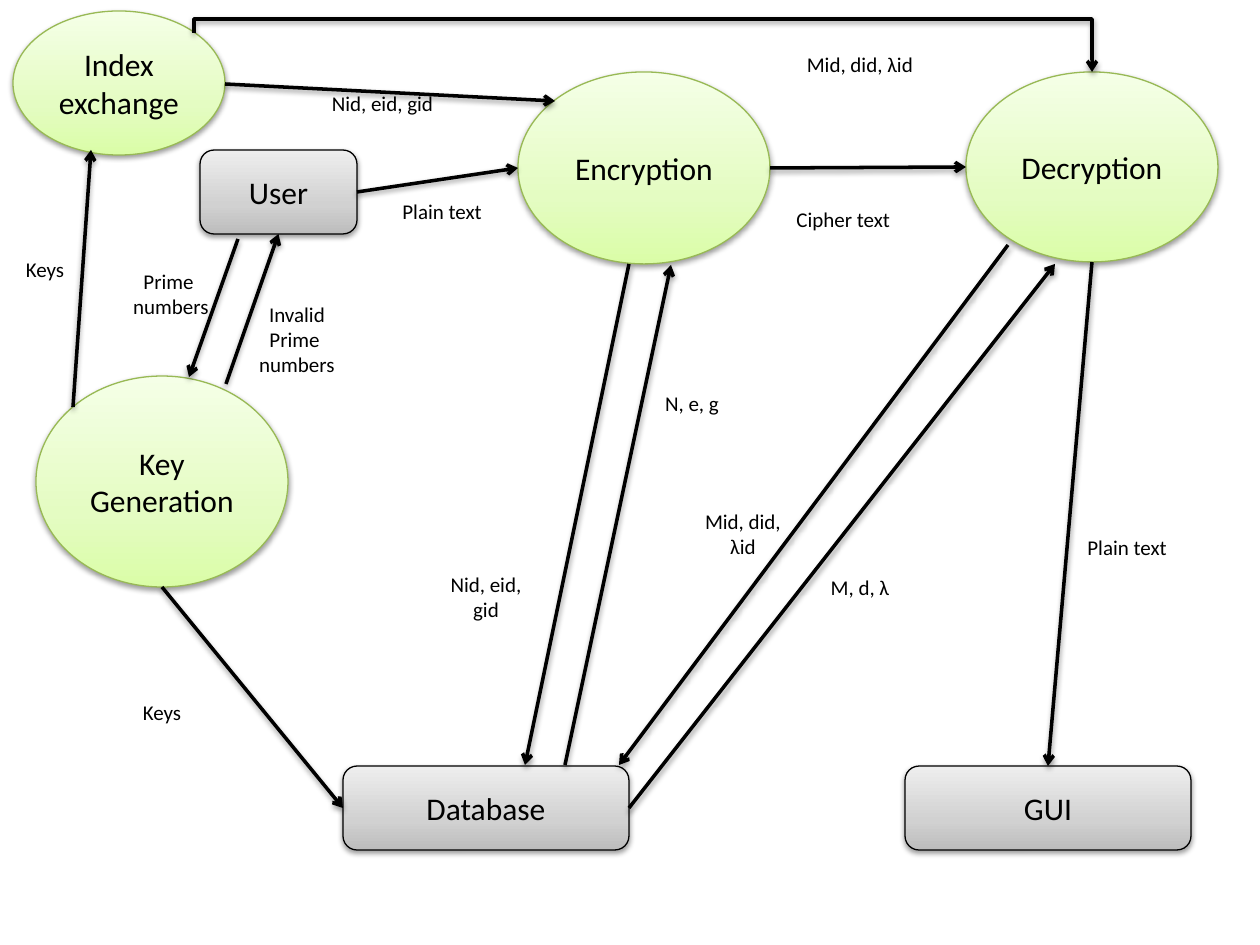
from copy import deepcopy
from dataclasses import dataclass

from lxml.etree import SubElement
from pptx import Presentation
from pptx.dml.color import RGBColor
from pptx.enum.shapes import MSO_CONNECTOR, MSO_SHAPE
from pptx.enum.text import MSO_ANCHOR, MSO_AUTO_SIZE, PP_ALIGN
from pptx.oxml.ns import qn
from pptx.util import Emu, Pt

PX_PER_INCH = 126
TOP, LEFT, BOTTOM, RIGHT = range(4)


@dataclass(frozen=True)
class Theme:
    font: str = "Calibri"
    ink: str = "000000"
    green_line: str = "98B955"
    green: tuple = ("DAFDA7", "E4FCC2", "F5FFE7")
    gray: tuple = ("BDBDBD", "D1D1D1", "EEEEEE")
    stops: tuple = (0, 0.35, 1)
    node_size: int = 18
    label_size: int = 12
    outline: float = 0.75
    arrow: float = 2


def px(n):
    return Emu(round(n * 914400 / PX_PER_INCH))


def apply(obj, values):
    for name, value in values.items():
        setattr(obj, name, value)


class FlowSlide:
    def __init__(self, slide, theme):
        self.shapes = slide.shapes
        self.theme = theme

    def set_text(self, tf, text, size, align):
        font = {"name": self.theme.font, "size": Pt(size)}
        for i, line in enumerate(text.split("\n")):
            p = tf.add_paragraph() if i else tf.paragraphs[0]
            p.alignment = align
            r = p.add_run()
            r.text = line
            apply(r.font, font)
            r.font.color.rgb = RGBColor.from_string(self.theme.ink)

    def shade(self, shape):
        """Give a shape or connector the soft shadow below it."""
        sp_pr = shape._element.spPr
        effects = sp_pr.find(qn("a:effectLst"))
        if effects is None:
            effects = SubElement(sp_pr, qn("a:effectLst"))
        shadow = SubElement(effects, qn("a:outerShdw"), blurRad="40000",
                            dist="20000", dir="5400000", rotWithShape="0")
        color = SubElement(shadow, qn("a:srgbClr"), val=self.theme.ink)
        SubElement(color, qn("a:alpha"), val="38000")

    def node(self, kind, text, box, colors, line):
        sp = self.shapes.add_shape(kind, *map(px, box))
        sp.fill.gradient()
        sp.fill.gradient_angle = 90
        gs_list = sp._element.spPr.find(".//" + qn("a:gsLst"))
        gs_list.append(deepcopy(gs_list[0]))
        for stop, position, color in zip(sp.fill.gradient_stops, self.theme.stops, colors):
            stop.position = position
            stop.color.rgb = RGBColor.from_string(color)
        sp.line.color.rgb = RGBColor.from_string(line)
        sp.line.width = Pt(self.theme.outline)
        sp.shadow.inherit = False
        self.shade(sp)
        apply(sp.text_frame, {"word_wrap": True, "vertical_anchor": MSO_ANCHOR.MIDDLE})
        self.set_text(sp.text_frame, text, self.theme.node_size, PP_ALIGN.CENTER)
        return sp

    def process(self, text, *box):
        return self.node(MSO_SHAPE.OVAL, text, box, self.theme.green, self.theme.green_line)

    def entity(self, text, *box):
        return self.node(MSO_SHAPE.ROUNDED_RECTANGLE, text, box, self.theme.gray, self.theme.ink)

    def label(self, text, x, y, w=126, h=38, align=PP_ALIGN.CENTER):
        tf = self.shapes.add_textbox(px(x), px(y), px(w), px(h)).text_frame
        apply(tf, {"word_wrap": True, "auto_size": MSO_AUTO_SIZE.SHAPE_TO_FIT_TEXT})
        self.set_text(tf, text, self.theme.label_size, align)

    def style_arrow(self, cxn):
        cxn.line.color.rgb = RGBColor.from_string(self.theme.ink)
        cxn.line.width = Pt(self.theme.arrow)
        SubElement(cxn._element.spPr.find(qn("a:ln")), qn("a:tailEnd"), type="arrow")
        self.shade(cxn)

    def arrow(self, start, end):
        """Draw a straight arrow; each end is an (x, y) point or a (box, side) pair."""
        glued = [not isinstance(place[0], int) for place in (start, end)]
        points = [(0, 0) if glue else place for glue, place in zip(glued, (start, end))]
        cxn = self.shapes.add_connector(MSO_CONNECTOR.STRAIGHT, *map(px, points[0] + points[1]))
        if glued[0]:
            cxn.begin_connect(*start)
        if glued[1]:
            cxn.end_connect(*end)
        self.style_arrow(cxn)

    def arrow_over(self, start, end, y):
        """Draw an elbow arrow that rises to y, runs right and drops to its end."""
        (x1, y1), (x2, y2) = start, end
        mid_x, mid_y = (x1 + x2) / 2, (y1 + y2) / 2
        run, drop = (x2 - x1) / 2, (y2 - y1) / 2
        # The elbow is laid out upright, then turned a quarter about its centre.
        cxn = self.shapes.add_connector(
            MSO_CONNECTOR.ELBOW, px(mid_x + drop), px(mid_y - run),
            px(mid_x - drop), px(mid_y + run))
        sp_pr = cxn._element.spPr
        sp_pr.find(qn("a:xfrm")).set("rot", "16200000")
        geom = sp_pr.find(qn("a:prstGeom"))
        guides = geom.find(qn("a:avLst"))
        if guides is None:
            guides = SubElement(geom, qn("a:avLst"))
        bend = round((y - y1) / (y2 - y1) * 100000)
        SubElement(guides, qn("a:gd"), name="adj1", fmla=f"val {bend}")
        self.style_arrow(cxn)


def main():
    prs = Presentation()
    apply(prs, {"slide_width": px(1260), "slide_height": px(945)})
    s = FlowSlide(prs.slides.add_slide(prs.slide_layouts[6]), Theme())

    database = s.entity("Database", 343, 766, 286, 84)
    gui = s.entity("GUI", 905, 766, 286, 84)
    user = s.entity("User", 200, 150, 157, 84)
    s.process("Key Generation", 36, 376, 252, 211)
    s.process("Encryption", 518, 72, 252, 192)
    s.process("Decryption", 966, 72, 252, 190)
    s.process("Index exchange", 13, 11, 212, 144)

    for start, end in (
        ((238, 239), (189, 377)),
        ((226, 384), (user, BOTTOM)),
        ((162, 587), (database, LEFT)),
        ((565, 765), (671, 265)),
        ((user, RIGHT), (518, 168)),
        ((1092, 262), (gui, TOP)),
        ((770, 168), (966, 167)),
        ((database, RIGHT), (1055, 264)),
        ((629, 264), (525, 765)),
        ((1008, 245), (619, 765)),
        ((73, 407), (91, 150)),
        ((225, 84), (555, 101)),
    ):
        s.arrow(start, end)
    s.arrow_over((194, 33), (1092, 72), 19)

    for text, x, y, w in (
        ("Plain text", 1075, 528, 231),
        ("Plain text", 390, 192, 121),
        ("Cipher text", 784, 200, 181),
    ):
        s.label(text, x, y, w, align=PP_ALIGN.LEFT)
    for text, *box in (
        ("Prime \nnumbers", 108, 262, 126, 63),
        ("Invalid Prime \nnumbers", 234, 295, 126, 89),
        ("Keys", 99, 693),
        ("Keys", -18, 250),
        ("Nid, eid, gid", 423, 565, 126, 63),
        ("Mid, did, λid", 680, 502, 126, 63),
        ("Nid, eid, gid", 295, 84, 175),
        ("Mid, did, λid", 771, 45, 178),
        ("N, e, g", 629, 384),
        ("M, d, λ", 797, 568),
    ):
        s.label(text, *box)

    prs.save("out.pptx")


if __name__ == "__main__":
    main()
